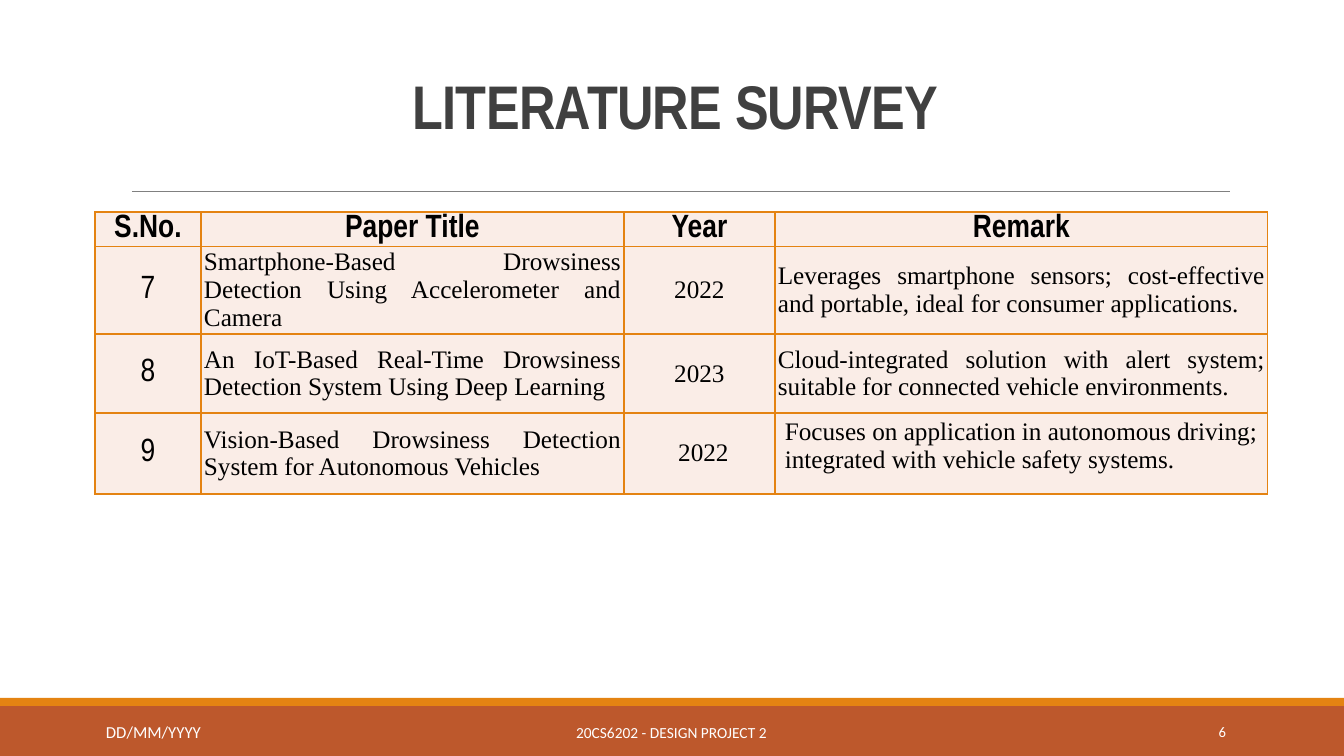
"""Build the literature survey slide with its table and footer."""
import pptx
import pptx.dml.color
import pptx.enum.shapes
import pptx.enum.text
import pptx.oxml
import pptx.oxml.ns
import pptx.util
from lxml import etree

ALIGN = pptx.enum.text.PP_ALIGN
THEME = {
    "ink": "000000", "heading": "404040", "light": "FFFFFF", "rule": "808080",
    "band": "BD582C", "accent": "E48312", "cell": "FAEDE7",
    "title": ("Arial Narrow", 44), "label": ("Arial Narrow", 23),
    "body": ("Times New Roman", 18), "date": ("Calibri", 12),
    "course": ("Calibri", 11), "number": ("Calibri", 10.5),
}
HEADERS = ["S.No.", "Paper Title", "Year", "Remark"]
PAPERS = [
    ("7", "Smartphone-Based Drowsiness Detection Using Accelerometer and Camera", "2022",
     "Leverages smartphone sensors; cost-effective and portable, ideal for consumer applications."),
    ("8", "An IoT-Based Real-Time Drowsiness Detection System Using Deep Learning", "2023",
     "Cloud-integrated solution with alert system; suitable for connected vehicle environments."),
    ("9", "Vision-Based Drowsiness Detection System for Autonomous Vehicles", "2022",
     "Focuses on application in autonomous driving; integrated with vehicle safety systems."),
]
TABLE_AT = (95, 212)
COLUMNS = [106, 423, 151, 493]
ROWS = [33, 87, 79, 81]
COLUMN_ALIGN = [ALIGN.CENTER, ALIGN.JUSTIFY, ALIGN.CENTER, ALIGN.JUSTIFY]
CELL_INSETS = (3, 2, 3, 2)
SPECIAL_INSETS = {(3, 2): (11, 5, 3, 5), (3, 3): (10, 5, 10, 20)}
SPECIAL_ALIGN = {(3, 3): ALIGN.LEFT}
BANDS = [("band", (0, 706, 1344, 50)), ("accent", (0, 698, 1344, 8))]
RULE = (132, 191, 1230, 191)
TITLE = ("LITERATURE SURVEY", (121, 31, 1109, 160))
FOOTERS = [
    ("20CS6202 - DESIGN PROJECT 2", "course", (406, 712, 531, 40), ALIGN.CENTER),
    ("6", "number", (1092, 712, 144, 40), ALIGN.RIGHT),
    ("DD/MM/YYYY", "date", (96, 717, 261, 30), ALIGN.LEFT),
]


def px(length):
    return pptx.util.Emu(round(length * 914400 / 100.8))


def colour(name):
    return pptx.dml.color.RGBColor.from_string(THEME[name])


def apply(target, formats):
    for name, value in formats.items():
        setattr(target, name, value)


def write(frame, text, style, ink, align, bold=False):
    para = frame.paragraphs[0]
    para.alignment = align
    span = para.add_run()
    span.text = text
    family, size = THEME[style]
    apply(span.font, {"name": family, "size": pptx.util.Pt(size), "bold": bold})
    span.font.color.rgb = colour(ink)
    return para, span


def add_text(page, text, style, place, align, ink="light", bold=False):
    box = page.shapes.add_textbox(*map(px, place))
    apply(box.text_frame, {"word_wrap": True,
                           "vertical_anchor": pptx.enum.text.MSO_ANCHOR.MIDDLE})
    return write(box.text_frame, text, style, ink, align, bold)


def add_band(page, fill, place):
    band = page.shapes.add_shape(pptx.enum.shapes.MSO_SHAPE.RECTANGLE, *map(px, place))
    band.shadow.inherit = False
    band.fill.solid()
    band.fill.fore_color.rgb = colour(fill)
    band.line.fill.background()


def add_rule(page):
    rule = page.shapes.add_connector(pptx.enum.shapes.MSO_CONNECTOR.STRAIGHT, *map(px, RULE))
    rule.line.color.rgb = colour("rule")
    rule.line.width = pptx.util.Pt(0.5)
    etree.SubElement(rule.element.spPr, pptx.oxml.ns.qn("a:effectLst"))


def add_borders(cell):
    properties = cell._tc.get_or_add_tcPr()
    for index, side in enumerate("LRTB"):
        properties.insert(index, pptx.oxml.parse_xml(
            f'<a:ln{side} {pptx.oxml.ns.nsdecls("a")} w="12700"><a:solidFill>'
            f'<a:srgbClr val="{THEME["accent"]}"/></a:solidFill></a:ln{side}>'))


def format_cell(cell, spot, text):
    row, column = spot
    insets = SPECIAL_INSETS.get(spot, CELL_INSETS)
    sides = ("margin_left", "margin_top", "margin_right", "margin_bottom")
    apply(cell, dict(zip(sides, map(px, insets))))
    cell.vertical_anchor = pptx.enum.text.MSO_ANCHOR.MIDDLE
    cell.fill.solid()
    cell.fill.fore_color.rgb = colour("cell")
    add_borders(cell)
    header = row == 0
    align = ALIGN.CENTER if header else SPECIAL_ALIGN.get(spot, COLUMN_ALIGN[column])
    style = "label" if header or column == 0 else "body"
    write(cell.text_frame, text, style, "ink", align, header)


def add_survey(page):
    size = (sum(COLUMNS), sum(ROWS))
    table = page.shapes.add_table(len(ROWS), len(COLUMNS), *map(px, TABLE_AT + size)).table
    apply(table, {"first_row": False, "horz_banding": False})
    for column, width in zip(table.columns, COLUMNS):
        column.width = px(width)
    for row, height in zip(table.rows, ROWS):
        row.height = px(height)
    for row, texts in enumerate([HEADERS, *PAPERS]):
        for column, text in enumerate(texts):
            format_cell(table.cell(row, column), (row, column), text)


def main():
    deck = pptx.Presentation()
    apply(deck, {"slide_width": px(1344), "slide_height": px(756)})
    page = deck.slides.add_slide(deck.slide_layouts[6])
    for fill, place in BANDS:
        add_band(page, fill, place)
    add_rule(page)
    add_survey(page)
    text, place = TITLE
    para, span = add_text(page, text, "title", place, ALIGN.CENTER, "heading", True)
    para.line_spacing = 0.85
    span.font._element.set("spc", "-50")
    for text, style, place, align in FOOTERS:
        add_text(page, text, style, place, align)
    deck.save("out.pptx")


if __name__ == "__main__":
    main()
